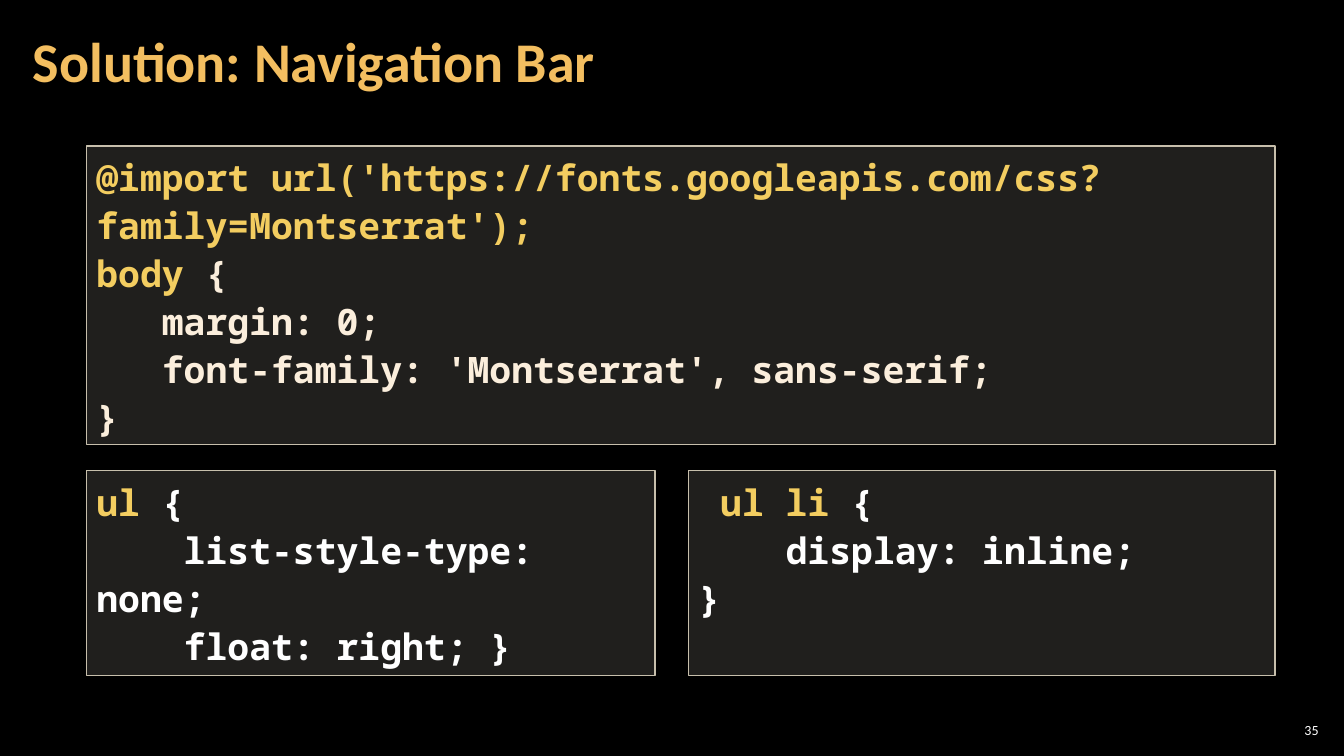
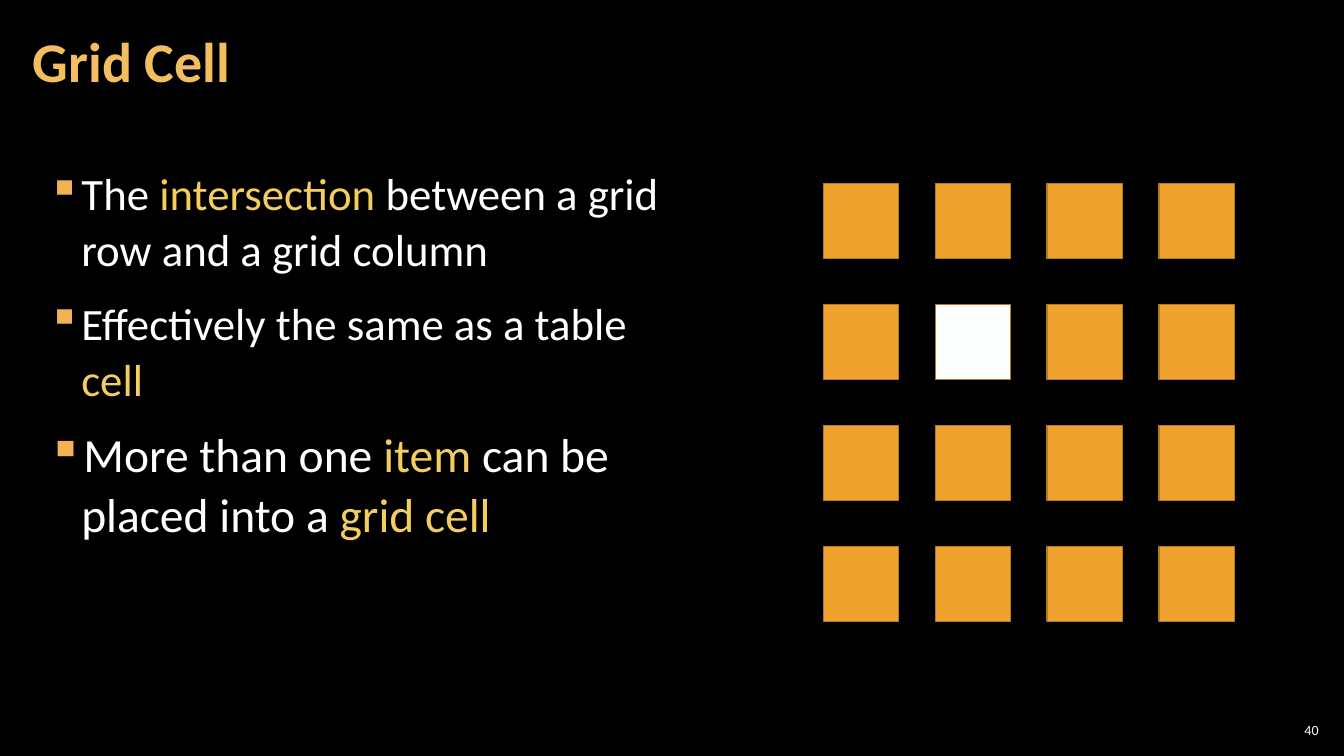
from pptx import Presentation
from pptx.dml.color import RGBColor as Rgb
from pptx.enum.shapes import MSO_SHAPE as Shape
from pptx.enum.text import MSO_ANCHOR as Anchor, PP_ALIGN as Align
from pptx.oxml.ns import qn
from pptx.util import Cm, Pt
from lxml.etree import SubElement

BLACK, WHITE, CREAM = "000000", "FFFFFF", "FBEEDC"
GOLD, AMBER, YELLOW = "F3BE60", "F2B254", "F3CD60"
PANEL, EDGE = "D9D5C7", "C7BFAC"
CELL, RIM, LIT = "F0A22E", "B27822", "FDFFFF"
SANS, MONO = "Calibri", "Noto Sans Mono"

# Box places are left, top, width, height in cm
TITLE_AT = (0.53, 0.1, 26.6, 3.07)
PAGE_AT = (32.13, 18.14, 1.2, 0.53)
BODY_AT = (0.91, 4.01, 16.81, 13.13)
PAD = (0.3, 0.1)

# Each line is a list of (text, colour) runs
CODE = [
    ((2.18, 3.68, 29.95, 7.52), [
        [("@import url('https://fonts.googleapis.com/css?family=Montserrat');", YELLOW)],
        [("body ", YELLOW), ("{", CREAM)],
        [("   margin: 0;", CREAM)],
        [("   font-family: 'Montserrat', sans-serif;", CREAM)],
        [("}", CREAM)],
    ]),
    ((2.18, 11.86, 14.33, 5.16), [
        [("ul ", YELLOW), ("{", WHITE)],
        [("    list-style-type: none;", WHITE)],
        [("    float: right; }", WHITE)],
    ]),
    ((17.35, 11.86, 14.78, 5.16), [
        [(" ul li ", YELLOW), ("{", WHITE)],
        [("    display: inline;", WHITE)],
        [("}", WHITE)],
    ]),
]

# Each point is a size and its runs
POINTS = [
    (32, [("The ", WHITE), ("intersection", YELLOW),
          (" between a grid row and a grid column", WHITE)]),
    (32, [("Effectively the same as a table ", WHITE), ("cell", YELLOW)]),
    (34, [("More than one ", WHITE), ("item", YELLOW),
          (" can be placed into a ", WHITE), ("grid cell", YELLOW)]),
]

GRID = {"left": 20.75, "top": 4.62, "across": 2.82, "down": 3.05,
        "size": 1.9, "count": 4, "lit": (1, 1)}


def color(code):
    return Rgb.from_string(code)


def place(at):
    return [Cm(n) for n in at]


def add_runs(para, runs, size, font=SANS, bold=False):
    for text, shade in runs:
        run = para.add_run()
        run.text = text
        run.font.name, run.font.size, run.font.bold = font, Pt(size), bold
        run.font.color.rgb = color(shade)


def next_para(frame, index):
    return frame.add_paragraph() if index else frame.paragraphs[0]


def add_text(slide, at, pad, anchor=Anchor.TOP):
    """Add a wrapping text box and return its frame."""
    frame = slide.shapes.add_textbox(*place(at)).text_frame
    frame.word_wrap = True
    frame.vertical_anchor = anchor
    frame.margin_left = frame.margin_right = Cm(pad[0])
    frame.margin_top = frame.margin_bottom = Cm(pad[1])
    return frame


def add_rect(slide, at, fill, line, alpha=None):
    """Add a plain rectangle; alpha is the opacity in percent."""
    rect = slide.shapes.add_shape(Shape.RECTANGLE, *place(at))
    rect.shadow.inherit = False
    rect.fill.solid()
    rect.fill.fore_color.rgb = color(fill)
    rect.line.color.rgb = color(line)
    rect.line.width = Pt(1)
    if alpha:
        tint = rect.fill._xPr.find(qn("a:solidFill"))[0]
        SubElement(tint, qn("a:alpha")).set("val", str(alpha * 1000))
    return rect


def add_slide(deck, title, page):
    """Add a slide with the shared title and page number."""
    slide = deck.slides.add_slide(deck.slide_layouts[6])
    para = add_text(slide, TITLE_AT, PAD, Anchor.MIDDLE).paragraphs[0]
    para.line_spacing = 0.9
    add_runs(para, [(title, GOLD)], 40, bold=True)
    para = add_text(slide, PAGE_AT, (0.1, 0.1), Anchor.MIDDLE).paragraphs[0]
    para.alignment = Align.RIGHT
    add_runs(para, [(page, WHITE)], 10)
    return slide


def add_code(slide, at, lines):
    frame = add_rect(slide, at, PANEL, EDGE, 15).text_frame
    frame.word_wrap = True
    frame.vertical_anchor = Anchor.TOP
    for i, runs in enumerate(lines):
        para = next_para(frame, i)
        para.alignment = Align.LEFT
        para.line_spacing = 1.1
        add_runs(para, runs, 26, MONO, True)


def add_bullet(para):
    props = para._p.get_or_add_pPr()
    props.set("marL", str(Cm(0.84)))
    props.set("indent", str(-Cm(0.84)))
    tint = SubElement(props, qn("a:buClr"))
    SubElement(tint, qn("a:srgbClr")).set("val", AMBER)
    SubElement(props, qn("a:buChar")).set("char", "▪")


def add_points(slide):
    frame = add_text(slide, BODY_AT, PAD)
    for i, (size, runs) in enumerate(POINTS):
        para = next_para(frame, i)
        add_bullet(para)
        para.line_spacing = 1.05
        para.space_before = Pt(6 if i else 0)
        para.space_after = Pt(6)
        add_runs(para, runs, size)


def add_grid(slide):
    size, count = GRID["size"], GRID["count"]
    for row in range(count):
        for col in range(count):
            left = GRID["left"] + col * GRID["across"]
            top = GRID["top"] + row * GRID["down"]
            fill = LIT if (row, col) == GRID["lit"] else CELL
            add_rect(slide, (left, top, size, size), fill, RIM)


def main():
    deck = Presentation()
    deck.slide_width, deck.slide_height = Cm(33.87), Cm(19.05)
    back = deck.slide_master.background.fill
    back.solid()
    back.fore_color.rgb = color(BLACK)

    slide = add_slide(deck, "Solution: Navigation Bar", "35")
    for at, lines in CODE:
        add_code(slide, at, lines)

    slide = add_slide(deck, "Grid Cell", "40")
    add_points(slide)
    add_grid(slide)
    deck.save("out.pptx")


if __name__ == "__main__":
    main()
